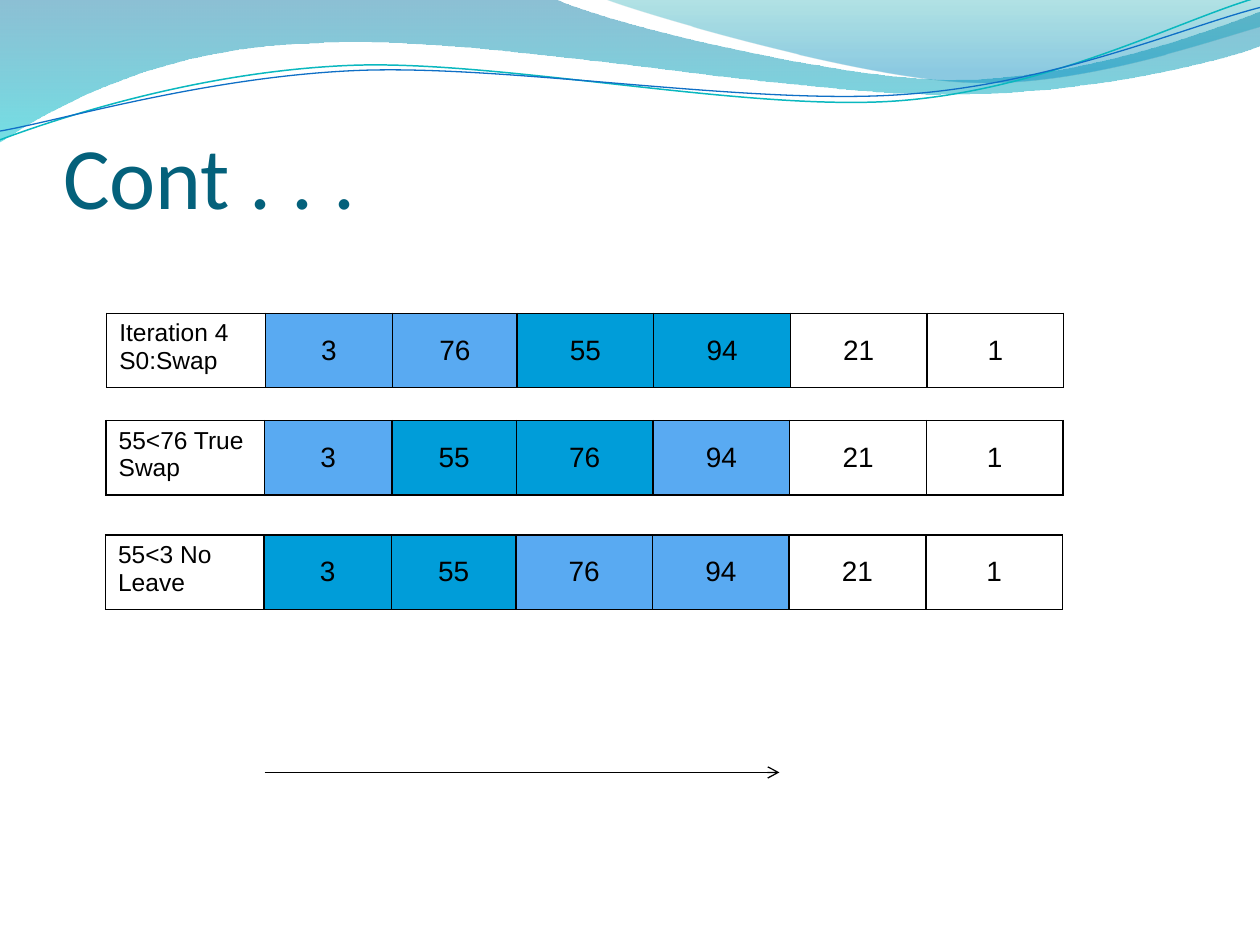
from math import cos, radians, sin

from lxml import etree
from pptx import Presentation
from pptx.dml.color import RGBColor
from pptx.enum.shapes import MSO_CONNECTOR
from pptx.enum.text import MSO_ANCHOR, PP_ALIGN
from pptx.oxml import parse_xml
from pptx.oxml.ns import qn
from pptx.util import Pt

STRAIGHT = MSO_CONNECTOR.STRAIGHT
MIDDLE, BOTTOM = MSO_ANCHOR.MIDDLE, MSO_ANCHOR.BOTTOM
CENTER = PP_ALIGN.CENTER
NS = "http://schemas.openxmlformats.org/drawingml/2006/main"
BLACK, WHITE = "000000", "FFFFFF"
SORTED, ACTIVE = "59AAF2", "009DD9"
TILT = 2.7

TOP_BAND = [
    (0, 0), (316.8, -0.7), (342.7, 12.2, 478.1, 45.4, 545.8, 45.4),
    (614.2, 45.4, 689.8, 18.7, 720, 6.5), (720.7, 25.9),
    (707.8, 31.7, 626.4, 54.7, 537.1, 54), (447.8, 54, 275, 20.2, 185, 24.5),
    (92.9, 25.9, 33.1, 59.8, -0.7, 81.4), (0, 0),
]
RIGHT_BAND = [
    (344.9, -0.7), (366.5, 7.9, 491, 44.6, 553.7, 46.8),
    (616.3, 49.7, 691.9, 23, 720, 15.1), (720, 0), (344.9, -0.7),
]
TEAL_WAVE = [
    (0, 79.9), (34.6, 67, 113.8, 41, 199.4, 37.4),
    (284.4, 33.8, 427, 64.1, 513.4, 57.6), (599.8, 51.1, 675.4, 10.8, 718.6, -1.4),
]
BLUE_WAVE = [
    (0, 74.9), (33.8, 69.1, 118.1, 43.9, 203.8, 40.3),
    (290.2, 36.7, 429.8, 60.5, 516.2, 54), (601.9, 48.2, 677.5, 15.1, 720, 4.3),
]
WIDTHS = [90.6, 72.7, 71.2] + [78.1] * 4
ROWS = [
    (61, 179, "Iteration 4\nS0:Swap", [3, 76, 55, 94, 21, 1], 2),
    (60.6, 240.3, "55<76 True\nSwap", [3, 55, 76, 94, 21, 1], 1),
    (60.3, 305.8, "55<3 No\nLeave", [3, 55, 76, 94, 21, 1], 0),
]


def color(code):
    return RGBColor.from_string(code)


def pairs(part):
    return list(zip(part[::2], part[1::2]))


def level(parts, mid_x, mid_y):
    c, s = cos(radians(TILT)), sin(radians(TILT))
    return [
        [v for x, y in pairs(part) for v in (
            mid_x + (x - mid_x) * c - (y - mid_y) * s,
            mid_y + (x - mid_x) * s + (y - mid_y) * c)]
        for part in parts]


class Deck:
    """Hold the style and the current slide, and draw each kind of element."""

    def __init__(self, slide, font="Arial", ink=BLACK):
        self.shapes = slide.shapes
        self.font = font
        self.ink = ink

    def style(self, para, size, font=None, ink=None):
        para.font.size = Pt(size)
        para.font.name = font or self.font
        para.font.color.rgb = color(ink or self.ink)

    def outline(self, parts, close):
        points = [(Pt(x), Pt(y)) for part in parts for x, y in pairs(part)]
        build = self.shapes.build_freeform(*points[0], scale=1.0)
        build.add_line_segments(points[1:], close=close)
        shape = build.convert_to_shape()
        shape.shadow.inherit = False
        lines = shape.element.spPr.iter(qn("a:lnTo"))
        lines = iter(list(lines))
        for part in parts[1:]:
            group = [next(lines) for pair in pairs(part)]
            if len(group) == 3:
                group[0].tag
                curve = etree.Element(qn("a:cubicBezTo"))
                group[0].addprevious(curve)
                for line in group:
                    curve.append(line[0])
                    line.getparent().remove(line)
        return shape

    def band(self, parts, stops):
        shape = self.outline(parts, True)
        shape.line.fill.background()
        shape.fill.gradient()
        shape.fill.gradient_angle = 270
        for stop, (place, code, alpha) in zip(shape.fill.gradient_stops, stops):
            stop.position = place
            stop.color.rgb = color(code)
        tags = shape.element.spPr.iter(qn("a:srgbClr"))
        for tag, (place, code, alpha) in zip(tags, stops):
            etree.SubElement(tag, qn("a:alpha")).set("val", str(alpha * 1000))

    def wave(self, parts, mid_x, mid_y, code, width):
        shape = self.outline(level(parts, mid_x, mid_y), False)
        shape.rotation = 360 - TILT
        shape.fill.background()
        shape.line.color.rgb = color(code)
        shape.line.width = Pt(width)

    def title(self, text, left, top, width, height):
        frame = self.shapes.add_textbox(Pt(left), Pt(top), Pt(width), Pt(height)).text_frame
        frame.word_wrap = True
        frame.vertical_anchor = BOTTOM
        frame.margin_left = frame.margin_right = frame.margin_bottom = 0
        frame.text = text
        self.style(frame.paragraphs[0], 50, "Calibri", "04617B")

    def cell(self, cell, text, size, fill):
        cell.text = text
        for para in cell.text_frame.paragraphs:
            self.style(para, size)
        props = cell._tc.get_or_add_tcPr()
        for side in "LRTB":
            props.append(parse_xml(
                f'<a:ln{side} xmlns:a="{NS}" w="{Pt(1)}"><a:solidFill>'
                f'<a:srgbClr val="{self.ink}"/></a:solidFill></a:ln{side}>'))
        cell.fill.solid()
        cell.fill.fore_color.rgb = color(fill)

    def table(self, left, top, label, values, pair, done=4, height=42.5):
        table = self.shapes.add_table(
            1, len(WIDTHS), Pt(left), Pt(top), Pt(sum(WIDTHS)), Pt(height)).table
        table.first_row = table.horz_banding = False
        for column, width in zip(table.columns, WIDTHS):
            column.width = Pt(width)
        self.cell(table.cell(0, 0), label, 14, WHITE)
        for i, value in enumerate(values):
            fill = ACTIVE if i in (pair, pair + 1) else SORTED if i < done else WHITE
            cell = table.cell(0, i + 1)
            self.cell(cell, str(value), 16, fill)
            cell.vertical_anchor = MIDDLE
            cell.text_frame.paragraphs[0].alignment = CENTER

    def arrow(self, left, right, y):
        line = self.shapes.add_connector(STRAIGHT, Pt(left), Pt(y), Pt(right), Pt(y))
        line.line.color.rgb = color(self.ink)
        line.line.width = Pt(0.75)
        etree.SubElement(line.line._get_or_add_ln(), qn("a:tailEnd")).set("type", "arrow")
        etree.SubElement(line.element.spPr, qn("a:effectLst"))


def main():
    show = Presentation()
    show.slide_width, show.slide_height = Pt(720), Pt(540)
    deck = Deck(show.slides.add_slide(show.slide_layouts[6]))
    deck.band(TOP_BAND, [(0, "0074A1", 45), (1, "00C6CF", 55)])
    deck.band(RIGHT_BAND, [(0, "00A1A9", 30), (0.8, "008BBF", 45)])
    deck.wave(TEAL_WAVE, 359.3, 41.4, "0AB8BF", 0.85)
    deck.wave(BLUE_WAVE, 359.6, 42.5, "0F6FC6", 0.75)
    for row in ROWS:
        deck.table(*row)
    deck.arrow(151.2, 445.4, 441.4)
    deck.title("Cont . . .", 36, 39.9, 653.8, 90)
    show.save("out.pptx")


if __name__ == "__main__":
    main()
